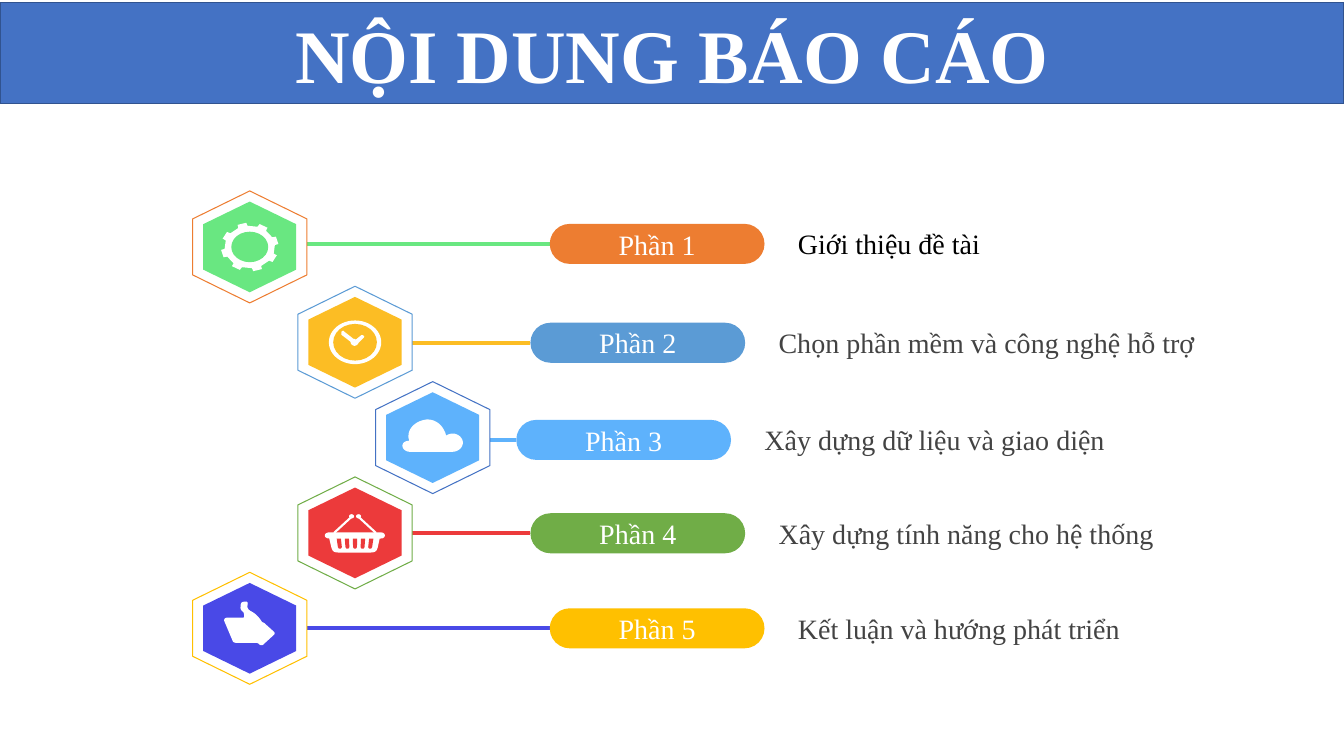
"""Build the report contents slide: five hexagon milestones with labels."""
from math import cos, radians, sin

from lxml import etree
from pptx import Presentation
from pptx.dml.color import RGBColor
from pptx.enum.shapes import MSO_CONNECTOR, MSO_SHAPE
from pptx.enum.text import MSO_ANCHOR, PP_ALIGN
from pptx.oxml.ns import qn
from pptx.util import Pt

RECT = MSO_SHAPE.RECTANGLE
PILL = MSO_SHAPE.ROUNDED_RECTANGLE
OVAL = MSO_SHAPE.OVAL
STRAIGHT = MSO_CONNECTOR.STRAIGHT
MIDDLE = MSO_ANCHOR.MIDDLE
LEFT, CENTER = PP_ALIGN.LEFT, PP_ALIGN.CENTER

FONT = "Times New Roman"
COLORS = {
    "white": "FFFFFF", "black": "000000", "gray": "434343",
    "banner": "4472C4", "banner_edge": "31538F",
    "orange": "ED7D31", "blue": "5B9BD5", "sky": "5EB2FC",
    "olive": "70AD47", "gold": "FFC000", "green": "69E781",
    "amber": "FCBD24", "red": "EC3A3B", "indigo": "4949E7",
}
HEXAGON = [(0, -40), (-40.8, -20), (-40.8, 20), (0, 40), (40.8, 20), (40.8, -20)]
CLOCK_HANDS = [
    (-8.3, -8.3), (-9, -8.3, -9, -7.9, -9.7, -7.6),
    (-9.7, -6.8, -9.7, -6.1, -9.7, -5.4), (-3.2, -0.4),
    (-3.2, 1.1, -1.8, 2.5, -0.4, 2.5), (1.1, 2.5, 2.5, 1.1, 2.5, 0.4),
    (6.1, -3.2), (6.8, -4, 6.8, -4.7, 6.1, -4.7),
    (5.4, -5.4, 4.7, -5.4, 4, -4.7), (0.4, -1.8),
    (0.4, -2.5, -0.4, -2.5, -1.1, -2.5), (-7.6, -7.6),
]
CLOUD = [
    (-4.3, -13), (-11.5, -12.2, -17.3, -7.2, -17.3, -1.4),
    (-17.3, 0, -17.3, 0.7, -16.6, 2.2), (-19.4, 2.2, -21.6, 3.6, -21.6, 5.8),
    (-21.6, 7.9, -19.4, 10.1, -16.6, 10.1), (14.4, 10.1),
    (18, 10.1, 21.6, 7.2, 21.6, 3.6), (21.6, 0, 18, -2.9, 14.4, -2.9),
    (12.2, -2.9, 10.8, -2.2, 9.4, -1.4), (9.4, -2.9, 9, -3.6, 8.6, -4.3),
    (7.2, -7.9, 4.3, -10.8, 0.7, -12.2), (-0.7, -12.6, -2.2, -13, -4.3, -13),
]
BASKET = [
    (-18.4, -0.4), (18.4, -0.4), (22.3, -0.4, 22.3, 4, 18.4, 4), (17.6, 4),
    (16.2, 10.4), (15.5, 12.6, 14.8, 14, 11.2, 14), (-11.9, 14),
    (-15.5, 14, -16.2, 12.6, -16.9, 10.4), (-18.4, 4),
    (-22.7, 4, -22.7, -0.4, -18.4, -0.4),
]
HAND = [
    (-2.9, -19), (-3.6, -19, -5, -19, -5.8, -18.4),
    (-6.5, -17.6, -6.5, -16.2, -6.5, -15.5),
    (-7.2, -13.3, -5, -11.9, -4.3, -11.2), (-4.3, -10.4, -3.6, -9, -4.3, -7.6),
    (-15.8, -7.6), (-18, -7.6, -18.7, -6.1, -18, -4.7), (-12.2, 9),
    (-12.2, 9.7, -10.8, 10.4, -10.1, 10.4), (3.6, 10.4),
    (4.3, 10.4, 5.8, 10.4, 6.5, 11.2), (7.2, 12.2, 8.6, 12.2, 9.4, 11.9),
    (17.3, 4.7), (18, 4, 18, 3.2, 17.3, 2.5), (10.1, -4),
    (9.4, -4, 8.6, -4.7, 8.6, -4.7), (8.6, -4.7, 5.8, -9.7, 1.4, -11.9),
    (-2.9, -14, -1.4, -16.2, -1.4, -17.6), (-1.4, -19, -2.2, -19, -2.9, -19),
]


def rgb(color):
    return RGBColor.from_string(COLORS[color])


def paint(shape, fill, edge=None, weight=0.75):
    shape.shadow.inherit = False
    shape.fill.solid()
    shape.fill.fore_color.rgb = rgb(fill)
    if edge:
        shape.line.color.rgb = rgb(edge)
        shape.line.width = Pt(weight)
    else:
        shape.line.fill.background()


def flatten(outline, steps=8):
    points = [outline[0]]
    for segment in outline[1:]:
        if len(segment) == 2:
            points.append(segment)
            continue
        x0, y0 = points[-1]
        x1, y1, x2, y2, x3, y3 = segment
        for step in range(1, steps + 1):
            t = step / steps
            a, b, c, d = (1 - t) ** 3, 3 * t * (1 - t) ** 2, 3 * t * t * (1 - t), t ** 3
            points.append((a * x0 + b * x1 + c * x2 + d * x3,
                           a * y0 + b * y1 + c * y2 + d * y3))
    return points


def add_outline(shapes, x, y, outline, fill, edge=None):
    points = [(Pt(x + dx), Pt(y + dy)) for dx, dy in flatten(outline)]
    builder = shapes.build_freeform(*points[0], scale=1.0)
    builder.add_line_segments(points[1:], close=True)
    paint(builder.convert_to_shape(), fill, edge)


def add_oval(shapes, x, y, rx, ry, fill):
    oval = shapes.add_shape(OVAL, Pt(x - rx), Pt(y - ry), Pt(2 * rx), Pt(2 * ry))
    paint(oval, fill)


def add_line(shapes, x1, y1, x2, y2, color, weight):
    line = shapes.add_connector(STRAIGHT, Pt(x1), Pt(y1), Pt(x2), Pt(y2))
    line.line.color.rgb = rgb(color)
    line.line.width = Pt(weight)
    etree.SubElement(line._element.spPr, qn("a:effectLst"))


def write(shape, words, size, color, align, inset, bold=False):
    frame = shape.text_frame
    frame.text = words
    frame.word_wrap = True
    frame.vertical_anchor = MIDDLE
    frame.margin_left = frame.margin_right = Pt(inset)
    frame.margin_top = frame.margin_bottom = Pt(inset / 2)
    paragraph = frame.paragraphs[0]
    paragraph.alignment = align
    font = paragraph.runs[0].font
    font.name, font.size, font.bold = FONT, Pt(size), bold
    font.color.rgb = rgb(color)


def draw_gear(shapes, x, y, tint):
    rim = []
    for tooth in range(29, 389, 45):
        for turn, rx, ry in ((-11, 18, 15.2), (-9, 20.6, 17.4), (9, 20.6, 17.4), (11, 18, 15.2)):
            angle = radians(tooth + turn)
            rim.append((rx * cos(angle), ry * sin(angle)))
    add_outline(shapes, x, y, rim, "white")
    add_oval(shapes, x, y, 13.2, 10.9, tint)


def draw_clock(shapes, x, y, tint):
    add_oval(shapes, x, y, 18.7, 15.6, "white")
    add_oval(shapes, x, y, 15.6, 13.1, tint)
    add_outline(shapes, x, y, CLOCK_HANDS, "white")


def draw_cloud(shapes, x, y, tint):
    add_outline(shapes, x, y, CLOUD, "white")


def draw_basket(shapes, x, y, tint):
    add_outline(shapes, x, y, BASKET, "white")
    for side in (-1, 1):
        add_oval(shapes, x + 2.5 * side, y - 11.9, 1.8, 1.5, "white")
        add_line(shapes, x + 2.5 * side, y - 11.5, x + 15 * side, y, "white", 1.5)
    for slot in range(-2, 3):
        top, bottom = 5.8 * slot, 5.4 * slot
        slit = [(top - 1.5, 4), (top + 1.5, 4), (bottom + 1.4, 10.2),
                (bottom + 0.7, 11.2), (bottom - 0.7, 11.2), (bottom - 1.4, 10.2)]
        add_outline(shapes, x, y, slit, tint)


def draw_hand(shapes, x, y, tint):
    add_outline(shapes, x, y, HAND, "white")


def add_part(shapes, number, x, y, pill_x, pill_y, edge, tint, pill_color,
             draw_icon, topic, topic_color, topic_width):
    add_line(shapes, x + 35, pill_y, pill_x, pill_y, tint, 2.65)
    add_outline(shapes, x, y, HEXAGON, "white", edge)
    add_outline(shapes, x, y, [(0.815 * dx, 0.81 * dy) for dx, dy in HEXAGON], tint)
    draw_icon(shapes, x, y, tint)
    pill = shapes.add_shape(PILL, Pt(pill_x), Pt(pill_y - 14.3), Pt(153.4), Pt(28.6))
    pill.adjustments[0] = 0.5
    paint(pill, pill_color)
    write(pill, f"Phần {number}", 20, "white", CENTER, 9.4)
    label = shapes.add_textbox(Pt(pill_x + 167.8), Pt(pill_y - 15.9), Pt(topic_width), Pt(31.7))
    write(label, topic, 20, topic_color, LEFT, 9.4)


def main():
    deck = Presentation()
    deck.slide_width, deck.slide_height = Pt(960), Pt(540)
    shapes = deck.slides.add_slide(deck.slide_layouts[6]).shapes
    outer, middle, inner = (178.4, 392.7), (253.6, 378.9), (309.1, 368.8)
    parts = [
        (outer, 174.2, "orange", "green", "orange", draw_gear,
         "Giới thiệu đề tài", "black", 289),
        (middle, 244.8, "blue", "amber", "blue", draw_clock,
         "Chọn phần mềm và công nghệ hỗ trợ", "gray", 320),
        (inner, 314.2, "banner", "sky", "sky", draw_cloud,
         "Xây dựng dữ liệu và giao diện", "gray", 289),
        (middle, 380.9, "olive", "red", "olive", draw_basket,
         "Xây dựng tính năng cho hệ thống", "gray", 289),
        (outer, 448.8, "gold", "indigo", "gold", draw_hand,
         "Kết luận và hướng phát triển", "gray", 289),
    ]
    for index, ((x, pill_x), pill_y, *details) in enumerate(parts):
        add_part(shapes, index + 1, x, 176.4 + 68.1 * index, pill_x, pill_y, *details)
    banner = shapes.add_shape(RECT, Pt(0), Pt(2), Pt(960), Pt(72))
    paint(banner, "banner", "banner_edge", 1)
    write(banner, "NỘI DUNG BÁO CÁO", 54, "white", CENTER, 7.2, bold=True)
    deck.save("out.pptx")


if __name__ == "__main__":
    main()
